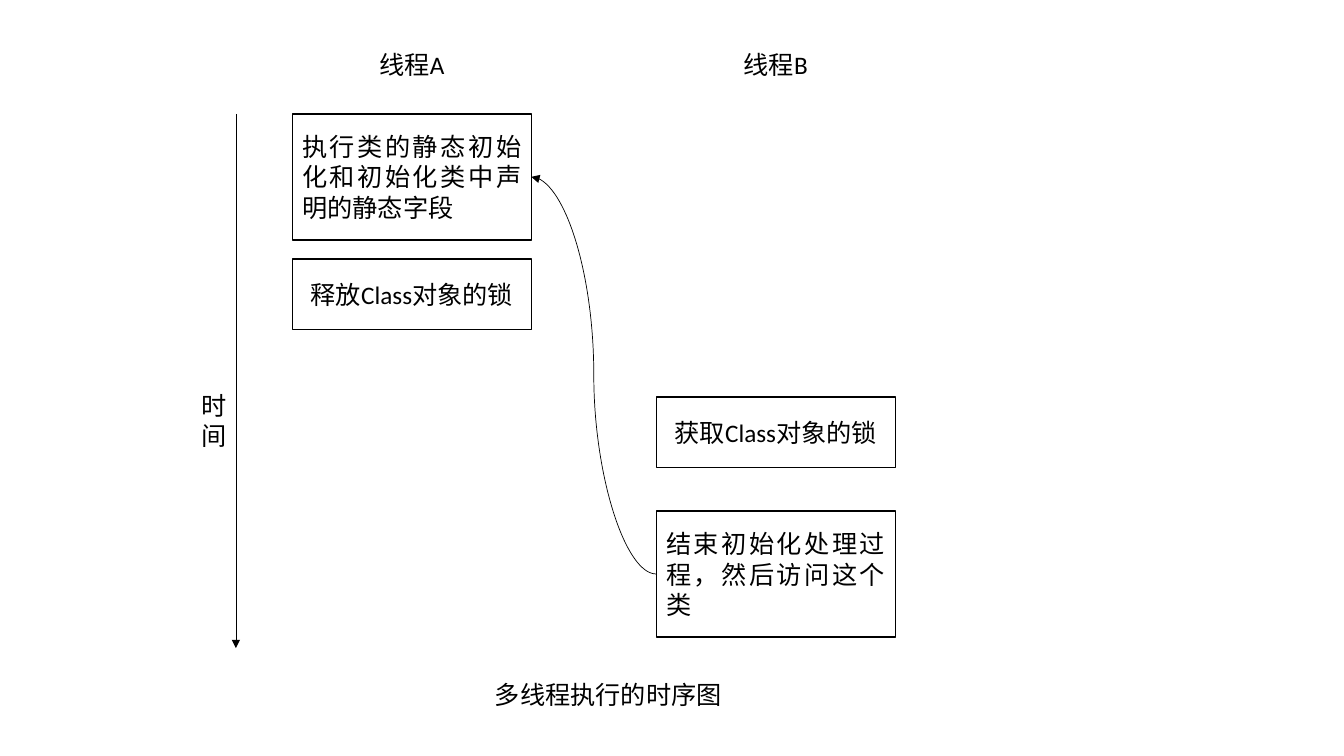
from dataclasses import dataclass

import lxml.etree
import pptx
import pptx.dml.color
import pptx.enum.shapes
import pptx.enum.text
import pptx.oxml.ns
import pptx.util

Inches = pptx.util.Inches
Pt = pptx.util.Pt
Align = pptx.enum.text.PP_ALIGN
Connector = pptx.enum.shapes.MSO_CONNECTOR

BLACK = pptx.dml.color.RGBColor(0x00, 0x00, 0x00)
WHITE = pptx.dml.color.RGBColor(0xFF, 0xFF, 0xFF)
FONT = "Calibri"

THREAD_A_LEFT, THREAD_B_LEFT = 2.9, 6.51
STEP_WIDTH = 2.37
SHORT, TALL = 0.7, 1.25
HEADING_WIDTH = 1.1
TIME_X, TIME_TOP, TIME_BOTTOM = 2.34, 1.13, 6.43


@dataclass
class Step:
    text: str
    left: float
    top: float
    height: float
    align: Align


@dataclass
class Label:
    lines: list[str]
    left: float
    top: float
    width: float
    height: float
    align: Align = Align.LEFT
    wrap: bool = False


def heading(text: str, column_left: float) -> Label:
    left = column_left + (STEP_WIDTH - HEADING_WIDTH) / 2
    return Label([text], left, 0.44, HEADING_WIDTH, 0.4, Align.CENTER, True)


RUN_INITIALIZER = Step("执行类的静态初始化和初始化类中声明的静态字段",
                       THREAD_A_LEFT, TIME_TOP, TALL, Align.JUSTIFY)
RELEASE_LOCK = Step("释放Class对象的锁", THREAD_A_LEFT, 2.57, SHORT, Align.CENTER)
ACQUIRE_LOCK = Step("获取Class对象的锁", THREAD_B_LEFT, 3.94, SHORT, Align.CENTER)
ACCESS_CLASS = Step("结束初始化处理过程，然后访问这个类",
                    THREAD_B_LEFT, 5.07, TALL, Align.JUSTIFY)

LABELS = [
    heading("线程A", THREAD_A_LEFT),
    heading("线程B", THREAD_B_LEFT),
    Label(["时", "间"], 1.9, 3.82, 0.45, 0.71),
    Label(["多线程执行的时序图"], 4.81, 6.69, 2.47, 0.4),
]


def write(frame, lines: list[str], align: Align) -> None:
    frame.text = "\n".join(lines)
    for para in frame.paragraphs:
        para.alignment = align
        para.font.name = FONT
        para.font.size = Pt(18)
        para.font.color.rgb = BLACK


def draw_label(page, label: Label) -> None:
    box = page.shapes.add_textbox(Inches(label.left), Inches(label.top),
                                  Inches(label.width), Inches(label.height))
    box.text_frame.word_wrap = label.wrap
    box.text_frame.auto_size = pptx.enum.text.MSO_AUTO_SIZE.SHAPE_TO_FIT_TEXT
    write(box.text_frame, label.lines, label.align)


def draw_step(page, step: Step):
    box = page.shapes.add_shape(pptx.enum.shapes.MSO_SHAPE.RECTANGLE,
                                Inches(step.left), Inches(step.top),
                                Inches(STEP_WIDTH), Inches(step.height))
    box.shadow.inherit = False
    box.fill.solid()
    box.fill.fore_color.rgb = WHITE
    box.line.color.rgb = BLACK
    box.line.width = Pt(1)
    box.text_frame.word_wrap = True
    box.text_frame.vertical_anchor = pptx.enum.text.MSO_ANCHOR.MIDDLE
    write(box.text_frame, [step.text], step.align)
    return box


def draw_arrow(page, kind: Connector, start: tuple[float, float],
               end: tuple[float, float]):
    arrow = page.shapes.add_connector(kind, *map(Inches, start + end))
    arrow.line.color.rgb = BLACK
    arrow.line.width = Pt(0.5)
    qn = pptx.oxml.ns.qn
    properties = arrow.line._get_or_add_ln()
    lxml.etree.SubElement(properties, qn("a:tailEnd"), type="triangle")
    lxml.etree.SubElement(properties.getparent(), qn("a:effectLst"))
    return arrow


deck = pptx.Presentation()
deck.slide_width, deck.slide_height = Inches(13.33), Inches(7.5)
page = deck.slides.add_slide(deck.slide_layouts[6])

# Time axis
draw_arrow(page, Connector.STRAIGHT, (TIME_X, TIME_TOP), (TIME_X, TIME_BOTTOM))

# Thread headings, axis name and caption
for label in LABELS:
    draw_label(page, label)

# Steps of both threads
initializer_box = draw_step(page, RUN_INITIALIZER)
draw_step(page, RELEASE_LOCK)
draw_step(page, ACQUIRE_LOCK)
access_box = draw_step(page, ACCESS_CLASS)

# Curve from the left side of the last step to the right side of the first
curve = draw_arrow(page, Connector.CURVE,
                   (THREAD_B_LEFT, ACCESS_CLASS.top + TALL / 2),
                   (THREAD_A_LEFT + STEP_WIDTH, RUN_INITIALIZER.top + TALL / 2))
curve.begin_connect(access_box, 1)
curve.end_connect(initializer_box, 3)

deck.save("out.pptx")
